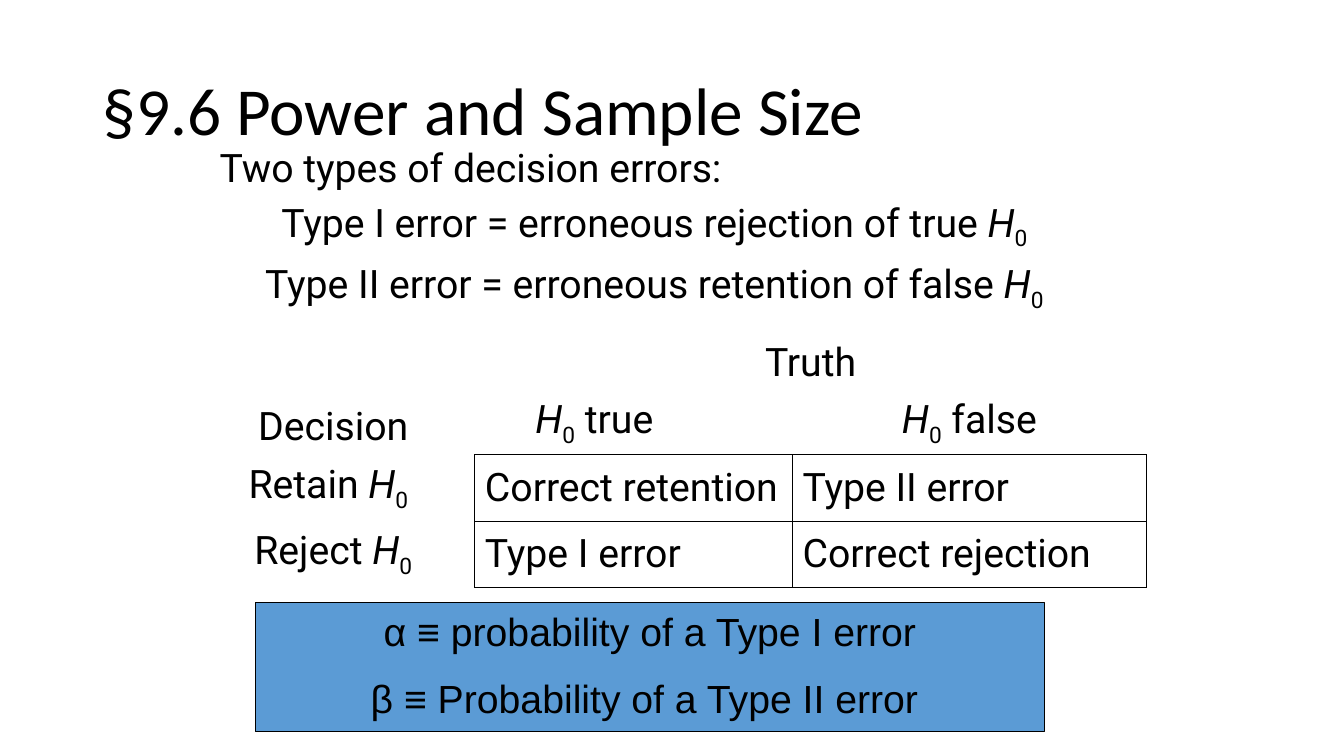
from dataclasses import dataclass

from lxml import etree
from pptx import Presentation
from pptx.dml.color import RGBColor
from pptx.enum.shapes import MSO_SHAPE
from pptx.enum.text import MSO_ANCHOR, MSO_AUTO_SIZE, PP_ALIGN
from pptx.oxml.ns import qn
from pptx.util import Inches, Pt

LEFT, CENTER = PP_ALIGN.LEFT, PP_ALIGN.CENTER
MIDDLE, BOTTOM = MSO_ANCHOR.MIDDLE, MSO_ANCHOR.BOTTOM
FIT_SHAPE = MSO_AUTO_SIZE.SHAPE_TO_FIT_TEXT
RECTANGLE = MSO_SHAPE.RECTANGLE
PLAIN_TABLE_STYLE = "{2D5ABB26-0587-4C30-8999-92F81FD0307C}"
NULL_HYPOTHESIS = "H0"  # set as italic H with a subscript 0


@dataclass(frozen=True)
class Theme:
    ink: RGBColor = RGBColor(0x00, 0x00, 0x00)
    panel: RGBColor = RGBColor(0x5B, 0x9B, 0xD5)
    title_font: str = "Calibri"
    body_font: str = "Roboto"
    panel_font: str = "Arial"
    title_size: int = 48
    body_size: int = 28
    panel_line: float = 0.75
    cell_line: float = 1


THEME = Theme()


def add_run(paragraph, text, font, size):
    run = paragraph.add_run()
    run.text = text
    run.font.name = font
    run.font.size = Pt(size)
    run.font.color.rgb = THEME.ink
    return run


def write(paragraph, text, align=LEFT, font=THEME.body_font,
          size=THEME.body_size, before=0):
    """Fill a paragraph; before is the space above in percent of a line."""
    paragraph.alignment = align
    for index, piece in enumerate(text.split(NULL_HYPOTHESIS)):
        if index:
            add_run(paragraph, "H", font, size).font.italic = True
            subscript = add_run(paragraph, "0", font, size)
            subscript.font._element.set("baseline", "-25000")
        if piece:
            add_run(paragraph, piece, font, size)
    if before:
        spacing = etree.Element(qn("a:spcBef"))
        etree.SubElement(spacing, qn("a:spcPct")).set("val", str(before * 1000))
        paragraph._p.get_or_add_pPr().insert(0, spacing)


def write_lines(frame, lines, **style):
    """Write (text, alignment) pairs as paragraphs."""
    for index, (text, align) in enumerate(lines):
        paragraph = frame.add_paragraph() if index else frame.paragraphs[0]
        write(paragraph, text, align, **style)


def add_title(slide, box, text):
    frame = slide.shapes.add_textbox(*box).text_frame
    frame.word_wrap = True
    frame.vertical_anchor = MIDDLE
    heading = frame.paragraphs[0]
    write(heading, text, font=THEME.title_font, size=THEME.title_size)
    heading.line_spacing = 0.9


def add_error_definitions(slide, box, lines):
    frame = slide.shapes.add_textbox(*box).text_frame
    frame.word_wrap = True
    frame.auto_size = FIT_SHAPE
    write_lines(frame, lines, before=20)


def outline_cell(cell):
    properties = cell._tc.get_or_add_tcPr()
    for position, side in enumerate(("lnL", "lnR", "lnT", "lnB")):
        line = etree.Element(qn(f"a:{side}"), w=str(Pt(THEME.cell_line)))
        fill = etree.SubElement(line, qn("a:solidFill"))
        etree.SubElement(fill, qn("a:srgbClr")).set("val", str(THEME.ink))
        properties.insert(position, line)


def add_decision_table(slide, box, rows, column_widths, row_heights):
    table = slide.shapes.add_table(len(rows), len(rows[0]), *box).table
    table.first_row = table.horz_banding = False
    table._tbl.tblPr.find(qn("a:tableStyleId")).text = PLAIN_TABLE_STYLE
    for column, width in zip(table.columns, column_widths):
        column.width = Inches(width)
    for row, height in zip(table.rows, row_heights):
        row.height = Inches(height)
    table.cell(0, 1).merge(table.cell(0, 2))  # "Truth" heads both columns

    for r, texts in enumerate(rows):
        for c, text in enumerate(texts):
            cell = table.cell(r, c)
            cell.fill.background()
            is_outcome = r >= 2 and c >= 1
            if is_outcome:
                outline_cell(cell)
            if text:
                is_label = r == 0 or c == 0
                cell.vertical_anchor = BOTTOM if r == 0 or (r, c) == (1, 0) else MIDDLE
                align = CENTER if is_label or (r, c) == (1, 2) else LEFT
                write(cell.text_frame.paragraphs[0], text, align, before=10)

    # "H0 true" is indented rather than centred
    true_heading = table.cell(1, 1).text_frame.paragraphs[0]
    true_heading._p.get_or_add_pPr().set("marL", str(Inches(0.5)))


def add_probability_panel(slide, box, lines):
    panel = slide.shapes.add_shape(RECTANGLE, *box)
    panel.shadow.inherit = False
    panel.fill.solid()
    panel.fill.fore_color.rgb = THEME.panel
    panel.line.color.rgb = THEME.ink
    panel.line.width = Pt(THEME.panel_line)
    frame = panel.text_frame
    frame.word_wrap = True
    frame.auto_size = FIT_SHAPE
    frame.vertical_anchor = MSO_ANCHOR.TOP
    write_lines(frame, lines, font=THEME.panel_font, before=50)


def inches(*lengths):
    return [Inches(length) for length in lengths]


def main():
    presentation = Presentation()
    presentation.slide_width, presentation.slide_height = inches(13.33, 7.5)
    slide = presentation.slides.add_slide(presentation.slide_layouts[6])

    add_title(slide, inches(0.92, 0.4, 11.5, 1.45), "§9.6 Power and Sample Size")
    add_decision_table(
        slide, inches(1.9, 3.31, 9.47, 2.45),
        [["", "Truth", ""],
         ["Decision", "H0 true", "H0 false"],
         ["Retain H0 ", "Correct retention", "Type II error"],
         ["Reject H0", "Type I error", "Correct rejection"]],
        column_widths=(2.81, 3.15, 3.51),
        row_heights=(0.57, 0.57, 0.66, 0.66))
    add_probability_panel(
        slide, inches(2.53, 5.98, 7.83, 1.28),
        [("α ≡ probability of a Type I error", CENTER),
         ("β ≡ Probability of a Type II error ", CENTER)])
    add_error_definitions(
        slide, inches(2.08, 1.37, 8.82, 1.69),
        [("Two types of decision errors:", LEFT),
         ("Type I error = erroneous rejection of true H0", CENTER),
         ("Type II error = erroneous retention of false H0", CENTER)])

    presentation.save("out.pptx")


if __name__ == "__main__":
    main()
